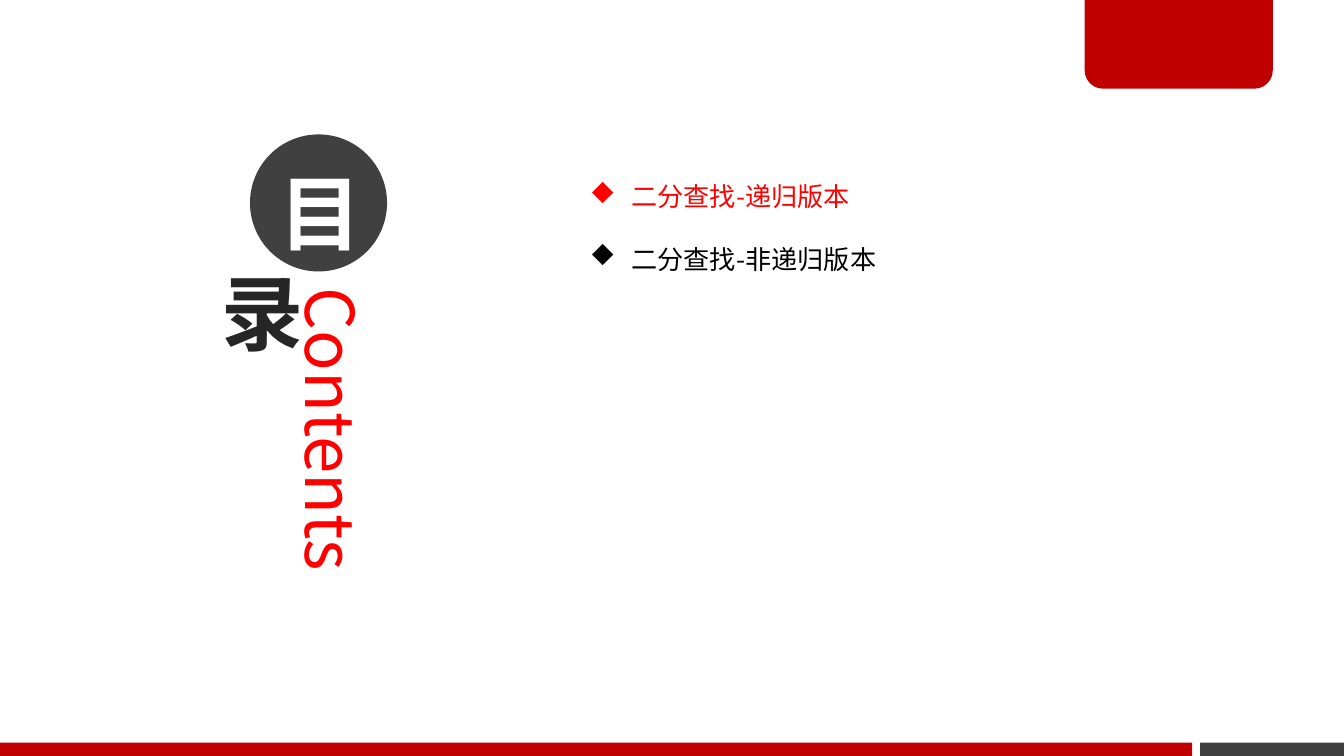
import pptx
import pptx.util
import pptx.dml.color
import pptx.enum.shapes
import pptx.enum.text
import pptx.oxml
import pptx.oxml.ns

Inches, Pt = pptx.util.Inches, pptx.util.Pt
SHAPES = pptx.enum.shapes.MSO_SHAPE
ALIGN = pptx.enum.text.PP_ALIGN
ANCHOR = pptx.enum.text.MSO_ANCHOR
AUTO_SIZE = pptx.enum.text.MSO_AUTO_SIZE

WIDTH = 10
HEIGHT = WIDTH * 9 / 16
FONT = "Noto Sans CJK SC"
COLORS = {"brand": "C00000", "accent": "FF0000", "gray": "404040",
          "ink": "262626", "black": "000000", "white": "FFFFFF"}
TIGHT = (0.07, 0.04, 0.07, 0.04)
FOOTER_HEIGHT, FOOTER_SPLIT, FOOTER_GAP = 0.1, 8.87, 0.06


def rgb(name):
    return pptx.dml.color.RGBColor.from_string(COLORS[name])


def xml(markup):
    return pptx.oxml.parse_xml(
        markup.replace(">", " " + pptx.oxml.ns.nsdecls("a") + ">", 1))


def add_block(slide, kind, box, fill=None):
    """Add a borderless shape, filled or clear."""
    block = slide.shapes.add_shape(kind, *map(Inches, box))
    block.shadow.inherit = False
    block.line.fill.background()
    if fill:
        block.fill.solid()
        block.fill.fore_color.rgb = rgb(fill)
    else:
        block.fill.background()
    return block


def set_frame(frame, insets, anchor=ANCHOR.TOP):
    frame.word_wrap = True
    frame.vertical_anchor = anchor
    (frame.margin_left, frame.margin_top,
     frame.margin_right, frame.margin_bottom) = map(Inches, insets)


def write(paragraph, text, size, color, bold=False, align=ALIGN.LEFT,
          spacing=None, outline=None):
    """Fill a paragraph with one formatted run."""
    paragraph.alignment = align
    paragraph.line_spacing = spacing
    run = paragraph.add_run()
    run.text = text
    run.font.name, run.font.size, run.font.bold = FONT, Pt(size), bold
    run.font.color.rgb = rgb(color)
    properties = run.font._element
    properties.find(pptx.oxml.ns.qn("a:latin")).addnext(
        xml(f'<a:ea typeface="{FONT}"></a:ea>'))
    if outline:
        properties.insert(0, xml(
            f'<a:ln w="{Pt(0.25)}"><a:solidFill><a:srgbClr val="{COLORS[outline]}"/>'
            '</a:solidFill></a:ln>'))


def add_diamond_bullet(paragraph, indent):
    """Hang a diamond, which is the letter u in the symbol font."""
    properties = paragraph._p.get_or_add_pPr()
    properties.set("marL", str(Inches(indent)))
    properties.set("indent", str(-Inches(indent)))
    properties.append(xml('<a:buFont typeface="Wingdings" charset="2"></a:buFont>'))
    properties.append(xml('<a:buChar char="u"></a:buChar>'))


def add_frame_decor(slide):
    """Footer bars and the tab hanging from the top edge."""
    top = HEIGHT - FOOTER_HEIGHT
    right = FOOTER_SPLIT + FOOTER_GAP
    add_block(slide, SHAPES.RECTANGLE,
              (right, top, WIDTH - right, FOOTER_HEIGHT), "gray")
    tab = add_block(slide, SHAPES.ROUND_2_SAME_RECTANGLE,
                    (8.07, -0.02, 1.4, 0.68), "brand")
    tab.rotation = 180
    tab.adjustments[0] = 0.2
    add_block(slide, SHAPES.RECTANGLE,
              (0, top, FOOTER_SPLIT, FOOTER_HEIGHT), "brand")


def add_heading(slide):
    # Vertical caption
    caption = slide.shapes.add_textbox(*map(Inches, (2.14, 2.1, 0.7, 2.89))).text_frame
    set_frame(caption, TIGHT)
    caption._txBody.bodyPr.set("vert", "eaVert")
    write(caption.paragraphs[0], "Contents", 36, "accent")

    # Two title characters, the first on a disc
    disc = add_block(slide, SHAPES.OVAL, (1.86, 1, 1.02, 1.02), "gray").text_frame
    set_frame(disc, (0.07, 0.04, 0.07, 0.15), ANCHOR.MIDDLE)
    write(disc.paragraphs[0], "目", 44, "white", bold=True,
          align=ALIGN.CENTER, spacing=Pt(70))
    second = add_block(slide, SHAPES.OVAL, (1.46, 1.92, 0.8, 0.8)).text_frame
    set_frame(second, TIGHT, ANCHOR.MIDDLE)
    write(second.paragraphs[0], "录", 44, "ink", bold=True,
          align=ALIGN.CENTER, outline="white")


def add_topics(slide, topics):
    agenda = slide.shapes.add_textbox(*map(Inches, (4.29, 1.06, 4.72, 0.97))).text_frame
    set_frame(agenda, (0.1, 0.05, 0.1, 0.05))
    agenda.auto_size = AUTO_SIZE.SHAPE_TO_FIT_TEXT
    for index, (topic, color) in enumerate(topics):
        line = agenda.add_paragraph() if index else agenda.paragraphs[0]
        write(line, topic, 14, color, spacing=2.0)
        add_diamond_bullet(line, 0.31)


def main():
    deck = pptx.Presentation()
    deck.slide_width, deck.slide_height = Inches(WIDTH), Inches(HEIGHT)
    slide = deck.slides.add_slide(deck.slide_layouts[6])
    add_frame_decor(slide)
    add_heading(slide)
    add_topics(slide, [("二分查找-递归版本", "accent"),
                       ("二分查找-非递归版本", "black")])
    deck.save("out.pptx")


if __name__ == "__main__":
    main()
